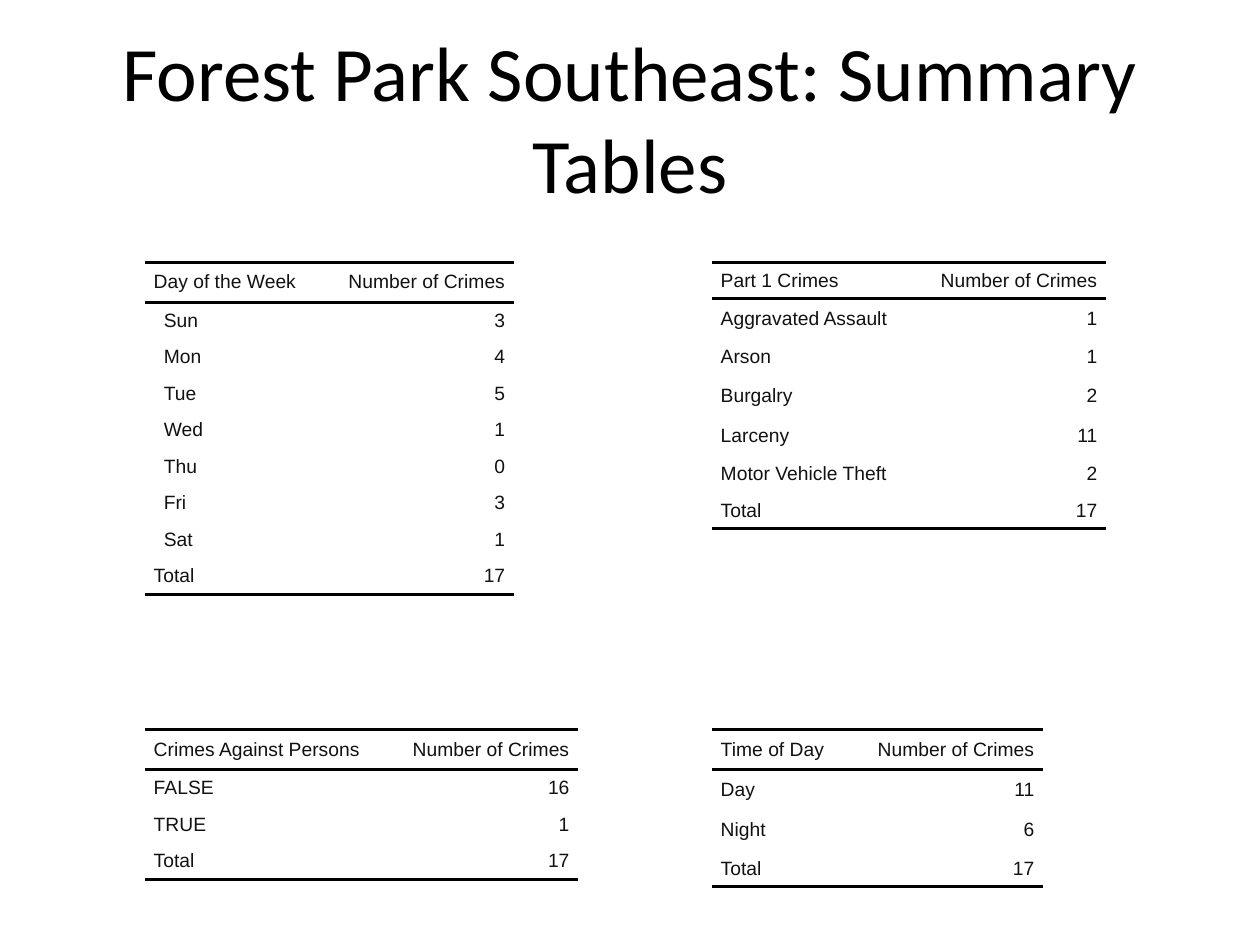
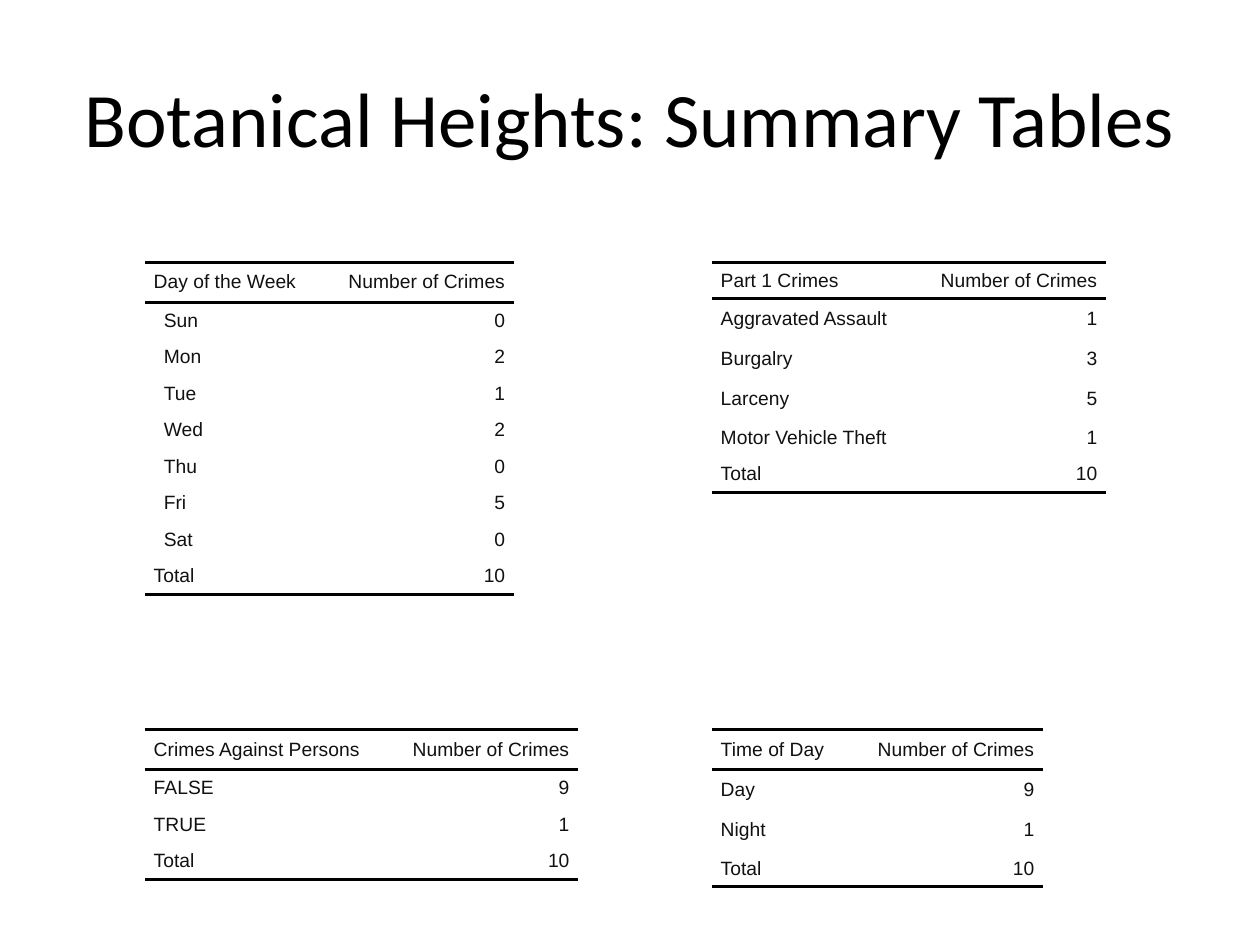
from pptx import Presentation
from pptx.dml.color import RGBColor
from pptx.enum.text import MSO_ANCHOR, MSO_AUTO_SIZE, PP_ALIGN
from pptx.oxml import parse_xml
from pptx.oxml.ns import nsdecls
from pptx.util import Inches, Pt

BLACK = RGBColor(0x00, 0x00, 0x00)
INK = RGBColor(0x11, 0x11, 0x11)

TITLE_FONT = {"name": "Calibri", "size": Pt(44)}
CELL_FONT = {"name": "Arial", "size": Pt(11)}
CELL_FORMAT = {"margin_left": 0, "margin_right": 0, "margin_top": 0,
               "margin_bottom": 0, "vertical_anchor": MSO_ANCHOR.MIDDLE}
CELL_SPACING = {"space_before": Pt(2), "space_after": Pt(2)}
TITLE_BOX = {"left": Inches(0.5), "top": Inches(0.3),
             "width": Inches(9), "height": Inches(1.25)}
TITLE_FRAME = {"word_wrap": True, "auto_size": MSO_AUTO_SIZE.NONE,
               "vertical_anchor": MSO_ANCHOR.MIDDLE}

NO_GRID_STYLE = "{2D5ABB26-0587-4C30-8999-92F81FD0307C}"
RULE_WIDTH = Pt(2)
PADDING = 0.07
DAY_INDENT = 0.08
COUNT_WIDTH = 1.52
ROW_HEIGHT = 0.29
TALL_ROW_HEIGHT = 0.32
DESCENDERS = set("gjpqy")

DAYS = ["Sun", "Mon", "Tue", "Wed", "Thu", "Fri", "Sat"]
TABLES = {
    "Part 1 Crimes": (5.65, 2.08, 1.61),
    "Day of the Week": (1.15, 2.08, 1.41),
    "Crimes Against Persons": (1.15, 5.79, 1.92),
    "Time of Day": (5.65, 5.79, 1.11),
}
NEIGHBORHOODS = {
    "Forest Park Southeast": {
        "Part 1 Crimes": {"Aggravated Assault": 1, "Arson": 1, "Burgalry": 2,
                          "Larceny": 11, "Motor Vehicle Theft": 2},
        "Day of the Week": dict(zip(DAYS, [3, 4, 5, 1, 0, 3, 1])),
        "Crimes Against Persons": {"FALSE": 16, "TRUE": 1},
        "Time of Day": {"Day": 11, "Night": 6},
    },
    "Botanical Heights": {
        "Part 1 Crimes": {"Aggravated Assault": 1, "Burgalry": 3,
                          "Larceny": 5, "Motor Vehicle Theft": 1},
        "Day of the Week": dict(zip(DAYS, [0, 2, 1, 2, 0, 5, 0])),
        "Crimes Against Persons": {"FALSE": 9, "TRUE": 1},
        "Time of Day": {"Day": 9, "Night": 1},
    },
}


def apply(obj, values):
    """Set each named attribute on an object."""
    for name, value in values.items():
        setattr(obj, name, value)


class Deck:
    """Hold the presentation, its style and the current slide."""

    def __init__(self):
        """Start a presentation of 10 by 7.5 inches."""
        self.prs = Presentation()
        apply(self.prs, {"slide_width": Inches(10), "slide_height": Inches(7.5)})

    def add_slide(self, title):
        """Add a slide with a centred title."""
        self.slide = self.prs.slides.add_slide(self.prs.slide_layouts[5])
        sp = self.slide.shapes.title
        apply(sp, TITLE_BOX)
        tf = sp.text_frame
        apply(tf, TITLE_FRAME)
        p = tf.paragraphs[0]
        p.alignment = PP_ALIGN.CENTER
        r = p.add_run()
        r.text = title
        apply(r.font, TITLE_FONT)
        r.font.color.rgb = BLACK

    def add_rule(self, cell, side):
        """Draw a black rule on the top (T) or bottom (B) of a cell."""
        cell._tc.get_or_add_tcPr().append(parse_xml(
            f'<a:ln{side} {nsdecls("a")} w="{RULE_WIDTH}"><a:solidFill>'
            f'<a:srgbClr val="{BLACK}"/></a:solidFill></a:ln{side}>'))

    def fill_cell(self, cell, text, align, indent, rules):
        """Write and format one table cell with rules on the given sides."""
        apply(cell, CELL_FORMAT)
        for side in rules:
            self.add_rule(cell, side)
        cell.fill.background()
        p = cell.text_frame.paragraphs[0]
        apply(p, CELL_SPACING)
        p.alignment = align
        pPr = p._p.get_or_add_pPr()
        for name, value in (("marL", PADDING + indent), ("marR", PADDING), ("indent", 0)):
            pPr.set(name, str(Inches(value)))
        r = p.add_run()
        r.text = text
        apply(r.font, CELL_FONT)
        r.font.color.rgb = INK

    def add_summary(self, heading, counts):
        """Add a table of counts with a heading row and a total row."""
        left, top, label_width = TABLES[heading]
        rows = [(heading, "Number of Crimes"), *counts.items(),
                ("Total", sum(counts.values()))]
        heights = [TALL_ROW_HEIGHT if DESCENDERS & set(label) else ROW_HEIGHT
                   for label, _ in rows]
        frame = self.slide.shapes.add_table(
            len(rows), 2, Inches(left), Inches(top),
            Inches(label_width + COUNT_WIDTH), Inches(sum(heights)))
        table = frame.table
        apply(table, {"first_row": False, "horz_banding": False})
        table._tbl.xpath(".//a:tableStyleId")[0].text = NO_GRID_STYLE
        for column, width in zip(table.columns, (label_width, COUNT_WIDTH)):
            column.width = Inches(width)
        rules = {0: "TB", len(rows) - 1: "B"}
        for i, (label, count) in enumerate(rows):
            table.rows[i].height = Inches(heights[i])
            indent = DAY_INDENT if label in DAYS else 0
            sides = rules.get(i, "")
            self.fill_cell(table.cell(i, 0), label, PP_ALIGN.LEFT, indent, sides)
            self.fill_cell(table.cell(i, 1), str(count), PP_ALIGN.RIGHT, 0, sides)


def main():
    """Build one slide of summary tables per neighborhood."""
    deck = Deck()
    for name, summaries in NEIGHBORHOODS.items():
        deck.add_slide(f"{name}: Summary Tables")
        for heading, counts in summaries.items():
            deck.add_summary(heading, counts)
    deck.prs.save("out.pptx")


if __name__ == "__main__":
    main()
